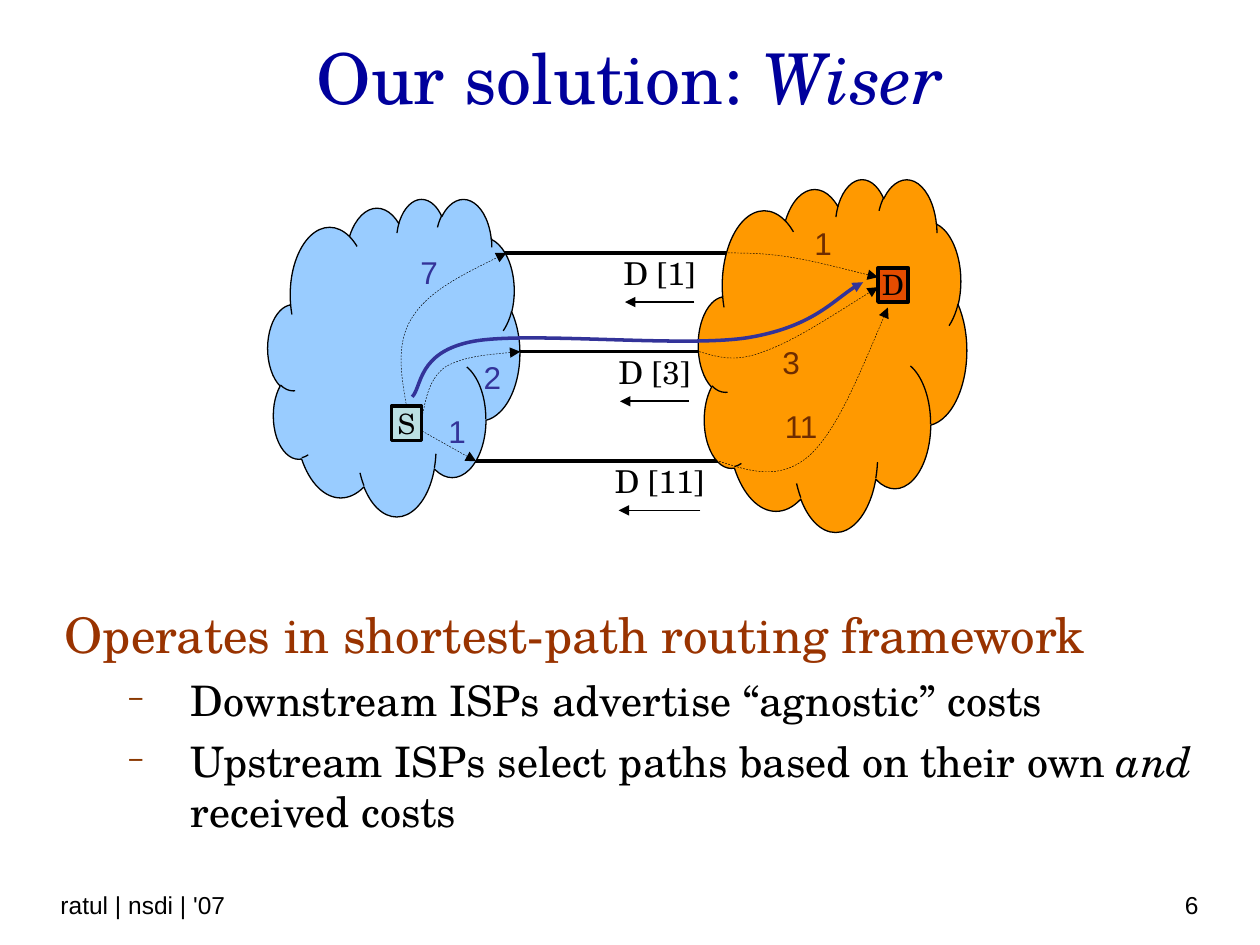
"""Build the slide on routing with agnostic costs."""
from lxml.etree import SubElement as Sub
from pptx import Presentation
from pptx.dml.color import RGBColor as RGB
from pptx.enum.dml import MSO_LINE as Dash
from pptx.enum.shapes import MSO_CONNECTOR as Conn, MSO_SHAPE as Kind
from pptx.enum.text import MSO_ANCHOR as Anchor, PP_ALIGN as Align
from pptx.oxml.ns import qn
from pptx.util import Cm, Pt

SERIF, SANS = "TeX Gyre Schola", "Arial"
BLACK, NAVY, RUST = RGB(0, 0, 0), RGB(0, 0, 0x9C), RGB(0x99, 0x33, 0)
SKY, AMBER = RGB(0x99, 0xCC, 0xFF), RGB(0xFF, 0x99, 0)
BLUE, BROWN = RGB(0x33, 0x33, 0x99), RGB(0x6E, 0x2D, 0)
TEAL, RED = RGB(0xBB, 0xE0, 0xE3), RGB(0xE4, 0x4C, 0)

TITLE = [("Our solution:", False), (" Wiser", True)]
HEAD = [("Operates in shortest-path routing framework", False)]
POINTS = [
    [("Downstream ISPs advertise “agnostic” costs", False)],
    [("Upstream ISPs select paths based on their own ", False),
     ("and", True), (" received costs", False)],
]
LINKS = [(10.26, 14.5, 7.09), (9.09, 15.24, 9.29), (9.6, 15.04, 5.1)]
CLOUDS = [
    (SKY, (5.4, 4, 5.08, 6.4), (7.21, 5, 3, 2.24)),
    (AMBER, (14.08, 3.6, 5.41, 7.11), (16.03, 4.72, 3.2, 2.46)),
]
COSTS = [
    ("7", 7.9, 4.98, 1.5, BLUE), ("2", 9.5, 7.09, 0.84, BLUE),
    ("1", 8.79, 8.18, 0.81, BLUE), ("1", 16, 4.39, 1.19, BROWN),
    ("3", 15.29, 6.79, 1.32, BROWN), ("11", 15.39, 8.08, 1.52, BROWN),
]
NODES = [("D", 17.7, 5.4, RED), ("S", 7.89, 8.19, TEAL)]
ADS = [
    ("D [1]", 12.19, 5, 2.21, 14, 12.6, 6.09),
    ("D [11]", 12, 9.19, 2.59, 14.12, 12.47, 10.29),
    ("D [3]", 12.09, 6.99, 2.21, 13.89, 12.5, 8.09),
]
ROUTES = [
    [(14.61, 5.1), (14.99, 5.1), (15.39, 5.1), (15.9, 5.18),
     (16.41, 5.26), (17.07, 5.44), (17.7, 5.59)],
    [(14.1, 7.09), (14.45, 7.19), (14.81, 7.32), (15.39, 7.09),
     (16, 6.88), (16.84, 6.32), (17.7, 5.79)],
    [(14.5, 9.3), (15.11, 9.5), (15.72, 9.7), (16.31, 9.19),
     (16.87, 8.69), (17.37, 7.44), (17.9, 6.2)],
    [(8.2, 8.2), (8.08, 7.54), (7.98, 6.91), (8.31, 6.4),
     (8.64, 5.87), (9.42, 5.49), (10.21, 5.1)],
    [(8.51, 8.41), (8.59, 8), (8.66, 7.62), (8.99, 7.39),
     (9.35, 7.19), (9.91, 7.14), (10.49, 7.09)],
    [(8.51, 8.69), (8.51, 8.69), (9.04, 8.99), (9.6, 9.3)],
]
CHOICE = [(8.31, 8), (8.51, 7.8), (8.41, 7.09), (9.55, 6.88), (10.67, 6.68),
          (13.74, 7.01), (15.06, 6.81), (16.36, 6.6), (16.92, 5.92),
          (17.4, 5.69)]

deck = Presentation()
deck.slide_width, deck.slide_height = Cm(25.4), Cm(19.05)
shapes = deck.slides.add_slide(deck.slide_layouts[6]).shapes


def write(para, runs, size, color, font=SERIF, align=Align.LEFT):
    para.alignment = align
    for text, slant in runs:
        run = para.add_run()
        run.text = text
        run.font.name, run.font.size = font, Pt(size)
        run.font.italic, run.font.color.rgb = slant, color


def frame(box, anchor=Anchor.TOP):
    text = shapes.add_textbox(*map(Cm, box)).text_frame
    text.word_wrap, text.vertical_anchor = True, anchor
    return text


def label(text, left, top, width, color, font):
    box = frame((left, top, width, 1.02))
    write(box.paragraphs[0], [(text, False)], 18, color, font, Align.CENTER)


def solid(kind, box, fill, width=None):
    shape = shapes.add_shape(kind, *map(Cm, box))
    shape.shadow.inherit = False
    shape.fill.solid()
    shape.fill.fore_color.rgb = fill
    if width:
        shape.line.color.rgb, shape.line.width = BLACK, Pt(width)
    else:
        shape.line.fill.background()
    return shape


def point(shape):
    line = shape._element.spPr.find(qn("a:ln"))
    Sub(line, qn("a:tailEnd"), type="triangle")


def level(start, end, y, width, arrow=False):
    line = shapes.add_connector(Conn.STRAIGHT, Cm(start), Cm(y), Cm(end), Cm(y))
    line.line.color.rgb, line.line.width = BLACK, Pt(width)
    Sub(line._element.spPr, qn("a:effectLst"))
    if arrow:
        point(line)


def curve(knots, color, width, dash=None):
    first, *rest = [(Cm(x), Cm(y)) for x, y in knots]
    pen = shapes.build_freeform(*first)
    pen.add_line_segments(rest, close=False)
    shape = pen.convert_to_shape()
    track = next(shape._element.iter(qn("a:path")))
    legs = track.findall(qn("a:lnTo"))
    for i in range(0, len(legs), 3):
        arc = Sub(track, qn("a:cubicBezTo"))
        for leg in legs[i:i + 3]:
            arc.append(leg[0])
            track.remove(leg)
    shape.shadow.inherit = False
    shape.fill.background()
    shape.line.color.rgb, shape.line.width = color, Pt(width)
    if dash:
        shape.line.dash_style = dash
    point(shape)


def indent(para, left, first, gap):
    para.space_before = Pt(gap)
    props = para._p.get_or_add_pPr()
    props.set("marL", str(Cm(left)))
    props.set("indent", str(Cm(first)))
    return props


write(frame((1.27, 0.33, 22.86, 2.41), Anchor.MIDDLE).paragraphs[0],
      TITLE, 40, NAVY, align=Align.CENTER)
body = frame((1.06, 12.07, 23.5, 5.28))
write(body.paragraphs[0], HEAD, 28, RUST)
indent(body.paragraphs[0], 1.47, -1.47, 7)
for runs in POINTS:
    para = body.add_paragraph()
    para.level = 1
    write(para, runs, 24, BLACK)
    props = indent(para, 2.54, -1.27, 6)
    Sub(Sub(props, qn("a:buClr")), qn("a:srgbClr"), val="8A3800")
    Sub(props, qn("a:buSzPct"), val="65000")
    Sub(props, qn("a:buFont"), typeface=SANS)
    Sub(props, qn("a:buChar"), char="−")

for start, end, y in LINKS:
    level(start, end, y, 2)
for color, outer, inner in CLOUDS:
    cloud = solid(Kind.CLOUD_CALLOUT, outer, color, 0.75)
    cloud.adjustments[0], cloud.adjustments[1] = 0.045, -0.036
    solid(Kind.OVAL, inner, color).rotation = 148.7
for text, left, top, width, color in COSTS:
    label(text, left, top, width, color, SANS)
for text, left, top, color in NODES:
    node = solid(Kind.RECTANGLE, (left, top, 0.61, 0.69), color, 2).text_frame
    node.margin_left = node.margin_right = 0
    node.margin_top = node.margin_bottom = 0
    node.word_wrap, node.vertical_anchor = False, Anchor.TOP
    write(node.paragraphs[0], [(text, False)], 16, BLACK, align=Align.CENTER)
for knots in ROUTES:
    curve(knots, BLACK, 0.25, Dash.DASH)
for text, left, top, width, start, end, y in ADS:
    label(text, left, top, width, BLACK, SERIF)
    level(start, end, y, 1, True)
curve(CHOICE, BLUE, 2)

for text, box, align in [("6", (18.49, 17.35, 5.92, 1.32), Align.RIGHT),
                         ("ratul | nsdi | '07", (0.97, 17.35, 10.24, 1.32),
                          Align.LEFT)]:
    write(frame(box, Anchor.BOTTOM).paragraphs[0], [(text, False)], 14,
          BLACK, SANS, align)

deck.save("out.pptx")
